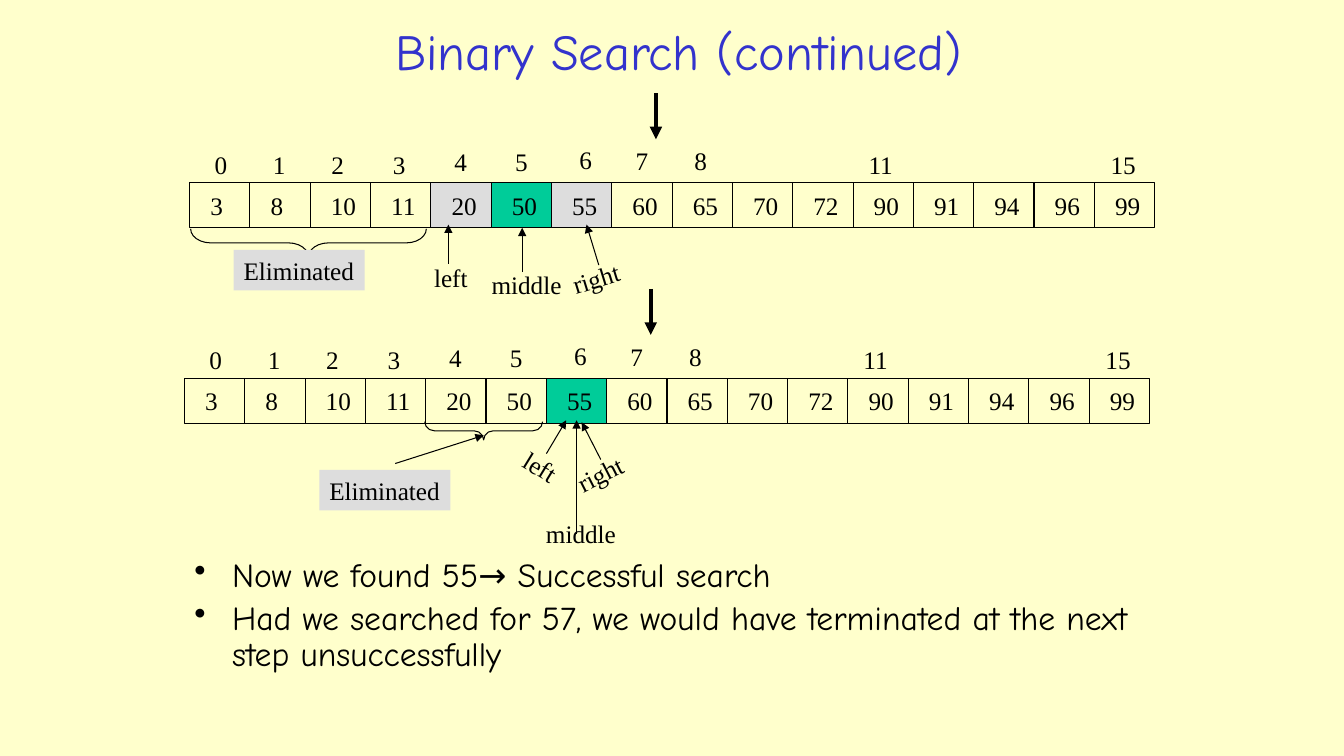
from lxml import etree
from pptx import Presentation
from pptx.dml.color import RGBColor
from pptx.enum.shapes import MSO_CONNECTOR, MSO_SHAPE
from pptx.enum.text import MSO_ANCHOR, MSO_AUTO_SIZE, PP_ALIGN
from pptx.oxml.ns import qn
from pptx.util import Cm, Pt

STRAIGHT = MSO_CONNECTOR.STRAIGHT
RECTANGLE, LEFT_BRACE = MSO_SHAPE.RECTANGLE, MSO_SHAPE.LEFT_BRACE
TOP, MIDDLE = MSO_ANCHOR.TOP, MSO_ANCHOR.MIDDLE
LEFT, CENTER = PP_ALIGN.LEFT, PP_ALIGN.CENTER
NO_AUTOSIZE = MSO_AUTO_SIZE.NONE

CREAM = RGBColor(0xFF, 0xFF, 0xCC)
BLUE = RGBColor(0x33, 0x33, 0xCC)
BLACK = RGBColor(0x00, 0x00, 0x00)
GREY = RGBColor(0xDD, 0xDD, 0xDD)
GREEN = RGBColor(0x00, 0xCC, 0x99)

TITLE_FONT = {"name": "Comic Neue", "size": Pt(36), "color": BLUE}
BODY_FONT = {"name": "Comic Neue", "size": Pt(24), "color": BLACK}
LABEL_FONT = {"name": "Times New Roman", "size": Pt(18), "color": BLACK}
THIN, THICK = Pt(0.75), Pt(3)

CELL_WIDTH, CELL_HEIGHT, CELL_INSET = 1.52, 1.14, 0.52
LABEL_HEIGHT = 1.02
VALUES = [3, 8, 10, 11, 20, 50, 55, 60, 65, 70, 72, 90, 91, 94, 96, 99]
# Index: offset from the left end of the array, rise above its top edge
INDEX_PLACES = {
    0: (0.38, 0.97), 1: (1.85, 0.97), 2: (3.32, 0.97), 3: (4.87, 0.97),
    4: (6.42, 1.04), 5: (7.95, 1.04), 6: (9.57, 1.09), 7: (10.99, 1.07),
    8: (12.47, 1.07), 11: (16.86, 0.97), 15: (22.96, 0.97),
}
STEP_ARROW = {"offset": 11.75, "start": 2.25, "end": 1.09}

# Pointers: word, label left, top, width, rotation, arrow start, arrow end
STEPS = [
    {
        "corner": (4.78, 4.6),
        "fills": {4: GREY, 5: GREEN, 6: GREY},
        "brace": (7.42, 3.15, 0.71, 5.94, 0.71),
        "eliminated": (5.89, 6.3),
        "pointers": [
            ("left", 10.69, 6.48, 1.35, 0, (11.3, 6.65), (11.3, 5.66)),
            ("right", 14.17, 6.5, 1.7, -17.1, (15.09, 6.68), (14.78, 5.66)),
            ("middle", 12.14, 6.65, 2.29, 0, (13.16, 6.86), (13.16, 5.74)),
        ],
    },
    {
        "corner": (4.65, 9.53),
        "fills": {6: GREEN},
        "brace": (11.96, 9.37, 0.46, 2.97, 0.53),
        "eliminated": (8.05, 11.84),
        "pointers": [
            ("left", 12.95, 11.25, 1.35, 31.6, (13.77, 11.43), (14.27, 10.59)),
            ("right", 14.27, 11.43, 1.7, -27.1, (15.14, 11.58), (14.66, 10.64)),
            ("middle", 13.51, 12.93, 2.29, 0, (14.53, 13.46), (14.53, 10.59)),
        ],
    },
]
LABEL_TO_BRACE = ((9.96, 11.68), (12.19, 10.97))
CONCLUSIONS = [
    "Now we found 55→ Successful search",
    "Had we searched for 57, we would have terminated at the next step unsuccessfully",
]


def apply(target, values):
    for name, value in values.items():
        setattr(target, name, value)


class SearchPage:
    """Holds the page being drawn and its text and line style."""

    def __init__(self, deck):
        self.page = deck.slides.add_slide(deck.slide_layouts[5])
        self.page.background.fill.solid()
        self.page.background.fill.fore_color.rgb = CREAM

    def add_span(self, para, text, style):
        span = para.add_run()
        span.text = text
        apply(span.font, {"name": style["name"], "size": style["size"]})
        span.font.color.rgb = style["color"]

    def title(self, text, left, top, width, height):
        box = self.page.shapes.title
        apply(box, {"left": Cm(left), "top": Cm(top),
                    "width": Cm(width), "height": Cm(height)})
        apply(box.text_frame, {"vertical_anchor": MIDDLE, "word_wrap": True,
                               "auto_size": NO_AUTOSIZE})
        para = box.text_frame.paragraphs[0]
        para.alignment = CENTER
        self.add_span(para, text, TITLE_FONT)

    def shape(self, kind, left, top, width, height, fill=None, outlined=True):
        shape = self.page.shapes.add_shape(
            kind, Cm(left), Cm(top), Cm(width), Cm(height))
        shape.shadow.inherit = False
        if fill is None:
            shape.fill.background()
        else:
            shape.fill.solid()
            shape.fill.fore_color.rgb = fill
        if outlined:
            shape.line.color.rgb = BLACK
            shape.line.width = THIN
        else:
            shape.line.fill.background()
        return shape

    def caption(self, box, text, inset=0.25):
        """Puts one unwrapped, left-aligned line of text in a box."""
        apply(box.text_frame, {
            "word_wrap": False, "auto_size": NO_AUTOSIZE, "vertical_anchor": MIDDLE,
            "margin_left": Cm(inset), "margin_right": Cm(0),
            "margin_top": Cm(0), "margin_bottom": Cm(0)})
        para = box.text_frame.paragraphs[0]
        para.alignment = LEFT
        self.add_span(para, text, LABEL_FONT)

    def label(self, text, left, top, width, rotation=0):
        box = self.page.shapes.add_textbox(
            Cm(left), Cm(top), Cm(width), Cm(LABEL_HEIGHT))
        box.rotation = rotation
        self.caption(box, text)

    def arrow(self, start, end, weight=THIN):
        line = self.page.shapes.add_connector(
            STRAIGHT, *(Cm(length) for length in (*start, *end)))
        line.line.color.rgb = BLACK
        line.line.width = weight
        properties = line._element.spPr
        etree.SubElement(properties.find(qn("a:ln")), qn("a:tailEnd"), type="triangle")
        etree.SubElement(properties, qn("a:effectLst"))

    def array(self, left, top, fills):
        for index, value in enumerate(VALUES):
            cell = self.shape(RECTANGLE, left + index * CELL_WIDTH, top,
                              CELL_WIDTH, CELL_HEIGHT, fills.get(index))
            self.caption(cell, str(value), CELL_INSET)
        for index, (offset, rise) in INDEX_PLACES.items():
            self.label(str(index), left + offset, top - rise,
                       0.84 if index < 10 else 1.14)
        center = left + STEP_ARROW["offset"]
        self.arrow((center, top - STEP_ARROW["start"]),
                   (center, top - STEP_ARROW["end"]), THICK)

    def brace(self, left, top, width, height, curve):
        brace = self.shape(LEFT_BRACE, left, top, width, height)
        brace.rotation = 270
        brace.adjustments[0] = curve

    def step(self, step):
        self.array(*step["corner"], step["fills"])
        self.brace(*step["brace"])
        tag = self.shape(RECTANGLE, *step["eliminated"], 3.3, LABEL_HEIGHT, GREY, False)
        self.caption(tag, "Eliminated")
        for word, left, top, width, rotation, start, end in step["pointers"]:
            self.arrow(start, end)
            self.label(word, left, top, width, rotation)

    def bullets(self, lines, left, top, width, height):
        box = self.page.shapes.add_textbox(Cm(left), Cm(top), Cm(width), Cm(height))
        frame = box.text_frame
        apply(frame, {"word_wrap": True, "vertical_anchor": TOP})
        for number, text in enumerate(lines):
            para = frame.add_paragraph() if number else frame.paragraphs[0]
            apply(para, {"alignment": LEFT, "line_spacing": 0.9,
                         "space_before": Pt(4.8 if number else 0)})
            properties = para._p.get_or_add_pPr()
            properties.set("marL", str(Cm(0.95)))
            properties.set("indent", str(-Cm(0.95)))
            etree.SubElement(properties, qn("a:buChar"), char="•")
            self.add_span(para, text, BODY_FONT)


def main():
    deck = Presentation()
    apply(deck, {"slide_width": Cm(33.87), "slide_height": Cm(19.05)})
    page = SearchPage(deck)
    page.title("Binary Search (continued)", 5.72, 0.41, 22.76, 1.7)
    for step in STEPS:
        page.step(step)
    page.arrow(*LABEL_TO_BRACE)
    page.bullets(CONCLUSIONS, 4.65, 13.94, 24.49, 3.2)
    deck.save("out.pptx")


if __name__ == "__main__":
    main()
